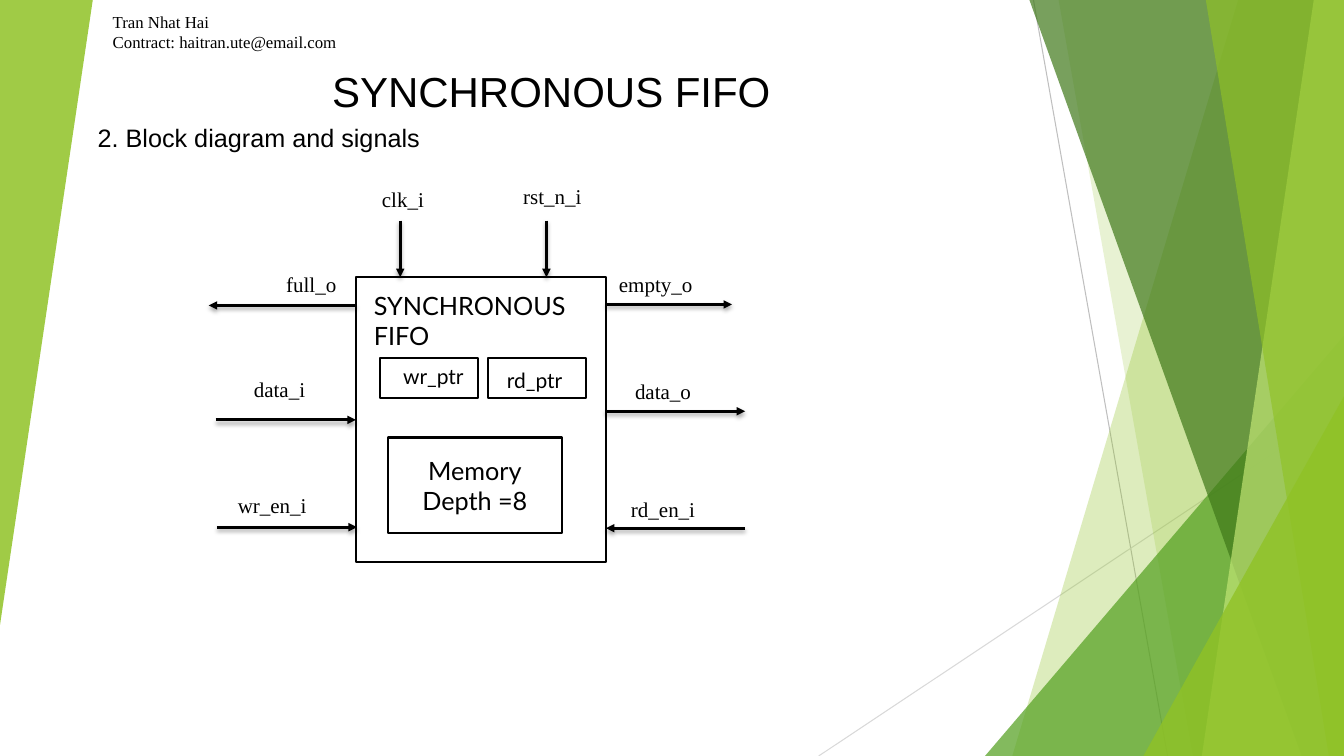
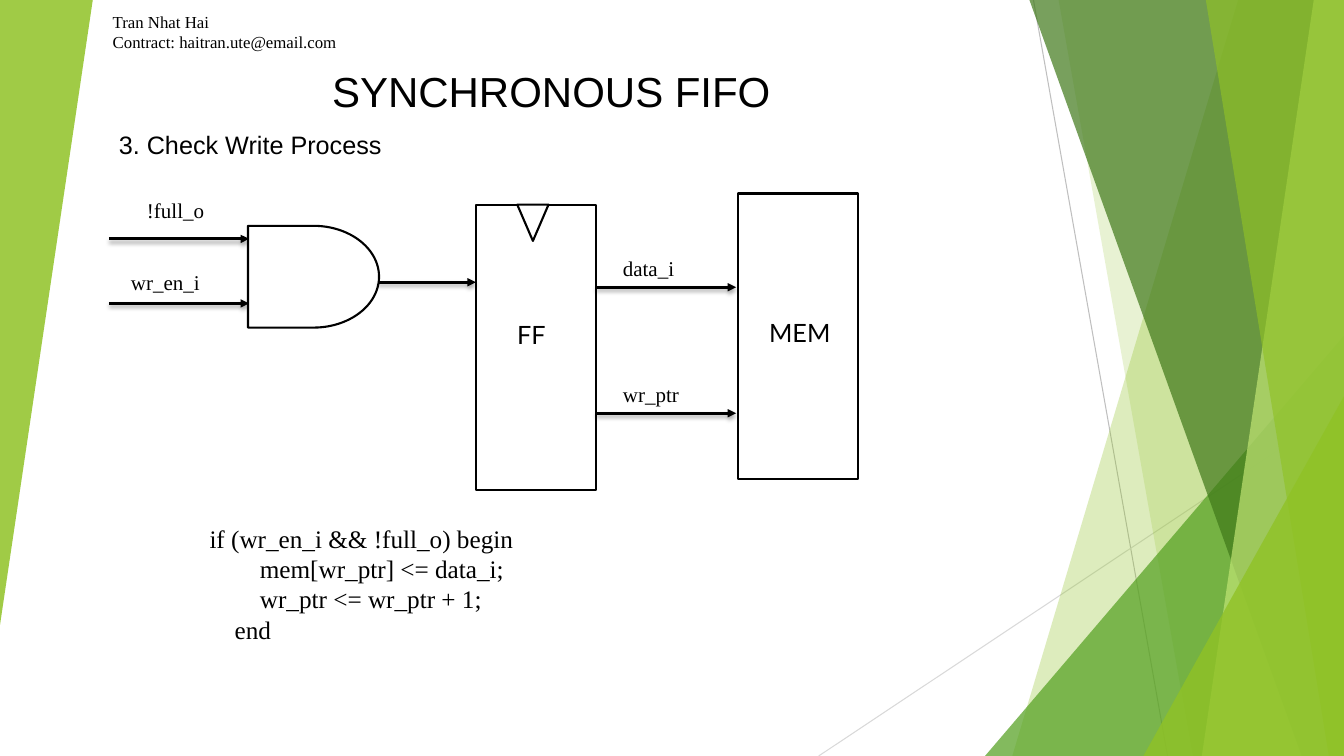
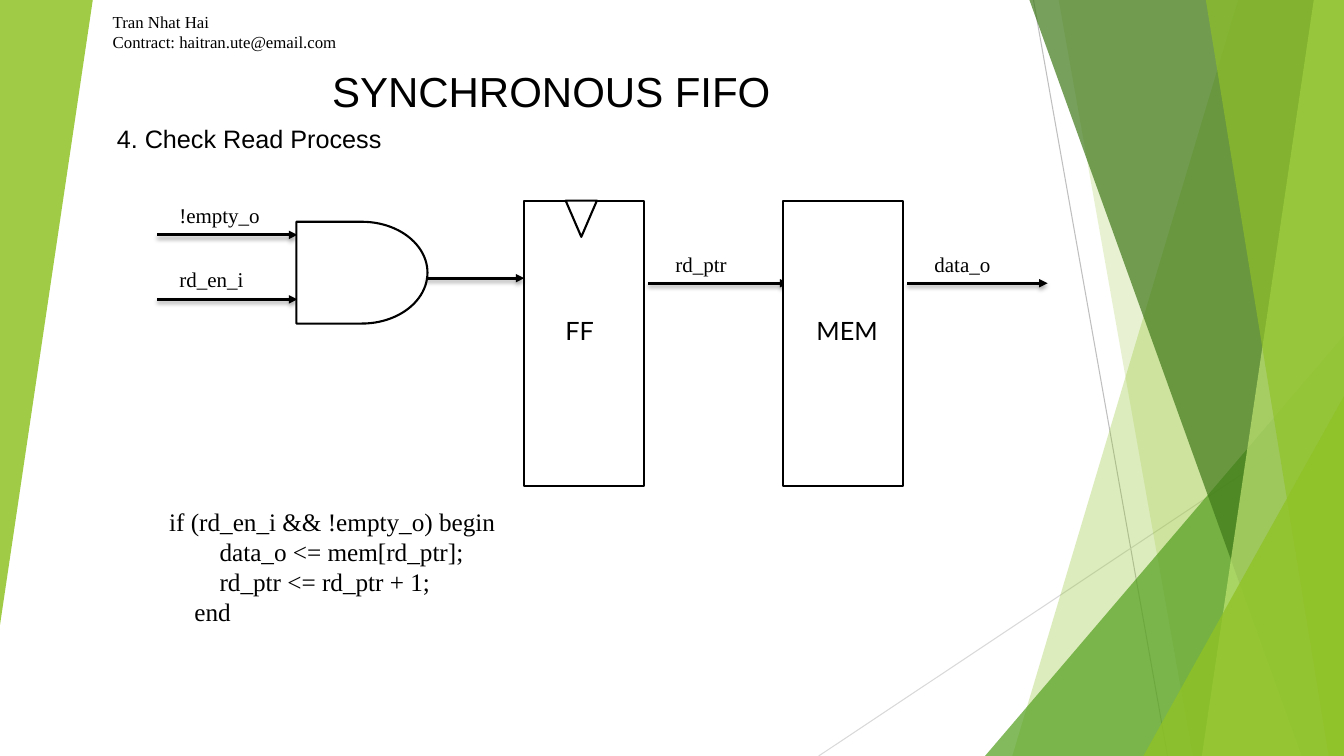
from dataclasses import dataclass

from lxml import etree
from pptx import Presentation
from pptx import util as u
from pptx.dml.color import RGBColor
from pptx.enum import shapes, text
from pptx.oxml.ns import qn


@dataclass(frozen=True)
class Theme:
    """Colours, fonts, type sizes and line weights shared by the slides."""

    ink: str = "000000"
    paper: str = "FFFFFF"
    lime: str = "90C226"
    green: str = "54A021"
    forest: str = "3F7819"
    pale: str = "C0E474"
    ray_dark: str = "BFBFBF"
    ray_light: str = "D9D9D9"
    heading_font: str = "Arial"
    signal_font: str = "Times New Roman"
    block_font: str = "Lato"
    title_size: float = 30
    body_size: float = 18
    label_size: float = 15
    credit_size: float = 12
    outline: float = 1.5
    wire: float = 2
    ray: float = 0.75


THEME = Theme()
WIDTH, HEIGHT = 13.33, 7.5
TITLE = "SYNCHRONOUS FIFO"
AUTHOR = "Tran Nhat Hai\nContract: haitran.ute@email.com"
LABEL_HEIGHT = 0.35
LINE_HEIGHT = 0.4
WIRE_LENGTH = 1.39
BLOCK_WIDTH, BLOCK_HEIGHT = 1.19, 2.83

RAYS = [
    (10.25, 0, 11.58, HEIGHT, THEME.ray_dark),
    (WIDTH, 4.03, 8.12, HEIGHT, THEME.ray_light),
]
BACK_FACETS = [(12.28, 10.04, THEME.lime, 30), (10.5, 11.83, THEME.lime, 20)]
FRONT_FACETS = [
    (10.21, 12.91, THEME.forest, 70),
    (13.03, 11.92, THEME.pale, 70),
    (11.96, 13.18, THEME.lime, 65),
]

FIFO_SIGNALS = [
    ("full_o", (-0.79, -0.11, 0.8), (0, 0.28), (-1.46, 0.28)),
    ("rd_en_i", (2.63, 2.13, 0.95), (3.86, 2.49), (2.48, 2.49)),
    ("wr_en_i", (-1.27, 2.09, 0.95), (-1.38, 2.48), (0.01, 2.48)),
    ("data_o", (2.67, 0.96, 0.8), (2.47, 1.33), (3.86, 1.33)),
    ("clk_i", (0.16, -0.95, 0.8), (0.44, -0.56), (0.44, 0)),
    ("rst_n_i", (1.56, -0.98, 0.97), (1.89, -0.56), (1.89, 0)),
    ("empty_o", (2.51, -0.11, 1.09), (2.48, 0.27), (3.73, 0.27)),
]


def inches(*lengths):
    """Convert numbers to inch lengths."""
    return [u.Inches(length) for length in lengths]


def write(paragraph, words, font, size, align=None):
    """Fill a paragraph with words in one font."""
    paragraph.text = words
    paragraph.alignment = align
    paragraph.font.name = font
    paragraph.font.size = u.Pt(size)
    paragraph.font.color.rgb = RGBColor.from_string(THEME.ink)


def add_text(slide, box, lines, font, size, align=None, indents=()):
    """Add a text box with one paragraph per line."""
    frame = slide.shapes.add_textbox(*inches(*box)).text_frame
    frame.word_wrap = True
    frame.auto_size = text.MSO_AUTO_SIZE.SHAPE_TO_FIT_TEXT
    for index, words in enumerate(lines):
        paragraph = frame.add_paragraph() if index else frame.paragraphs[0]
        write(paragraph, words, font, size, align)
        if indents:
            margin = u.Inches(indents[index])
            paragraph._p.get_or_add_pPr().set("marL", str(margin))


def add_label(slide, left, top, width, words):
    """Add a signal name."""
    add_text(slide, (left, top, width, LABEL_HEIGHT), [words],
             THEME.signal_font, THEME.label_size)


def add_block(slide, box, kind=shapes.MSO_SHAPE.RECTANGLE):
    """Add a white outlined diagram block."""
    block = slide.shapes.add_shape(kind, *inches(*box))
    block.shadow.inherit = False
    block.fill.solid()
    block.fill.fore_color.rgb = RGBColor.from_string(THEME.paper)
    block.line.color.rgb = RGBColor.from_string(THEME.ink)
    block.line.width = u.Pt(THEME.outline)
    return block


def add_line(slide, start, end, color, weight):
    """Add a straight line and return it with its empty effect list."""
    line = slide.shapes.add_connector(
        shapes.MSO_CONNECTOR.STRAIGHT, *inches(*start, *end))
    line.line.color.rgb = RGBColor.from_string(color)
    line.line.width = u.Pt(weight)
    effects = etree.SubElement(line._element.spPr, qn("a:effectLst"))
    return line, effects


def add_arrow(slide, start, end):
    """Add a signal arrow with a soft shadow below it."""
    arrow, effects = add_line(slide, start, end, THEME.ink, THEME.wire)
    outline = arrow._element.spPr.find(qn("a:ln"))
    etree.SubElement(outline, qn("a:tailEnd"), type="triangle")
    shadow = etree.SubElement(
        effects, qn("a:outerShdw"), blurRad=str(u.Pt(3)), dist=str(u.Pt(2)),
        dir="5400000", rotWithShape="0")
    tint = etree.SubElement(shadow, qn("a:srgbClr"), val=THEME.ink)
    etree.SubElement(tint, qn("a:alpha"), val="35000")
    return arrow


def tint_facet(facet, color, opacity):
    """Give a facet a translucent fill and no outline."""
    facet.shadow.inherit = False
    facet.fill.solid()
    facet.fill.fore_color.rgb = RGBColor.from_string(color)
    facet.line.fill.background()
    tint = facet._element.spPr.find(qn("a:solidFill")).find(qn("a:srgbClr"))
    etree.SubElement(tint, qn("a:alpha"), val=str(opacity * 1000))


def add_facets(slide, facets):
    """Add full-height facets that reach the right edge."""
    for top_left, bottom_left, color, opacity in facets:
        builder = slide.shapes.build_freeform(*inches(top_left, 0))
        corners = [(WIDTH, 0), (WIDTH, HEIGHT), (bottom_left, HEIGHT)]
        builder.add_line_segments([inches(*corner) for corner in corners])
        tint_facet(builder.convert_to_shape(), color, opacity)


def add_wedge(slide, box, color, opacity, rotation=0):
    """Add a right-angled facet."""
    wedge = slide.shapes.add_shape(
        shapes.MSO_SHAPE.ISOSCELES_TRIANGLE, *inches(*box))
    wedge.adjustments[0] = 1
    wedge.rotation = rotation
    tint_facet(wedge, color, opacity)


def add_backdrop(slide):
    """Add the rays and green facets along both edges."""
    for x1, y1, x2, y2, color in RAYS:
        add_line(slide, (x1, y1), (x2, y2), color, THEME.ray)
    add_facets(slide, BACK_FACETS)
    add_wedge(slide, (9.77, 3.33, 3.56, 4.17), THEME.green, 72)
    add_facets(slide, FRONT_FACETS)
    add_wedge(slide, (11.34, 3.93, 1.99, 3.57), THEME.lime, 80)
    add_wedge(slide, (0, 0, 0.92, 6.2), THEME.lime, 85, rotation=180)


def add_section_slide(deck, section, left, top):
    """Add a slide with backdrop, author, title and section heading."""
    slide = deck.slides.add_slide(deck.slide_layouts[6])
    add_backdrop(slide)
    add_text(slide, (2.19, 0.6, 6.56, 0.61), [TITLE], THEME.heading_font,
             THEME.title_size, text.PP_ALIGN.CENTER)
    add_text(slide, (left, top, 3.52, LINE_HEIGHT), [section],
             THEME.heading_font, THEME.body_size)
    add_text(slide, (1.02, 0.07, 2.73, 0.5), [AUTHOR], THEME.signal_font,
             THEME.credit_size)
    return slide


def draw_fifo(slide, left, top, width, height):
    """Draw the FIFO with its pointers, memory and signals."""
    fifo = add_block(slide, (left, top, width, height))
    for name, (dx, dy, label_width), start, end in FIFO_SIGNALS:
        add_arrow(slide, (left + start[0], top + start[1]),
                  (left + end[0], top + end[1]))
        add_label(slide, left + dx, top + dy, label_width, name)

    middle = top + height / 2
    data_in = add_arrow(slide, (left - WIRE_LENGTH, middle), (left, middle))
    data_in.end_connect(fifo, 1)
    add_label(slide, left - 1.11, top + 0.94, 0.8, "data_i")

    add_text(slide, (left + 0.08, top + 0.08, 2.57, LINE_HEIGHT), [TITLE],
             THEME.block_font, THEME.body_size)
    for pointer, dx, text_dx, text_dy in [("rd_ptr", 1.31, 0.09, 0.05),
                                          ("wr_ptr", 0.24, 0.13, 0.01)]:
        add_block(slide, (left + dx, top + 0.8, 0.97, 0.4))
        add_text(slide, (left + dx + text_dx, top + 0.8 + text_dy, 0.97,
                         LABEL_HEIGHT),
                 [pointer], THEME.block_font, THEME.label_size)

    memory = add_block(slide, (left + 0.32, top + 1.59, 1.72, 0.95))
    memory.text_frame.word_wrap = True
    memory.text_frame.vertical_anchor = text.MSO_ANCHOR.MIDDLE
    write(memory.text_frame.paragraphs[0], "Memory\nDepth =8",
          THEME.block_font, THEME.body_size, text.PP_ALIGN.CENTER)


def draw_process(slide, left, top, inputs, outputs, memory, memory_name):
    """Draw gate, flip-flop and memory from the flip-flop's top left corner."""
    add_block(slide, (left, top, BLOCK_WIDTH, BLOCK_HEIGHT))
    add_block(slide, (left + 0.41, top, 0.31, 0.36),
              shapes.MSO_SHAPE.ISOSCELES_TRIANGLE).rotation = 180
    add_text(slide, (left + 0.31, top + 1.09, 0.96, LINE_HEIGHT), ["FF"],
             THEME.block_font, THEME.body_size)

    for index, (name, dx, dy, label_width) in enumerate(inputs):
        wire_left, wire_top = left - 3.64, top + 0.34 + 0.64 * index
        add_arrow(slide, (wire_left, wire_top),
                  (wire_left + WIRE_LENGTH, wire_top))
        add_label(slide, left + dx, top + dy, label_width, name)
    add_block(slide, (left - 2.26, top + 0.21, 1.3, 1.01),
              shapes.MSO_SHAPE.FLOWCHART_DELAY)
    add_arrow(slide, (left - 0.97, top + 0.77), (left, top + 0.77))

    for name, dx, dy in outputs:
        wire_left, wire_top = left + dx, top + dy
        add_arrow(slide, (wire_left, wire_top),
                  (wire_left + WIRE_LENGTH, wire_top))
        add_label(slide, wire_left + 0.17, wire_top - 0.36, 0.8, name)

    add_block(slide, (left + memory[0], top + memory[1],
                      BLOCK_WIDTH, BLOCK_HEIGHT))
    add_text(slide, (left + memory_name[0], top + memory_name[1], 0.96,
                     LINE_HEIGHT),
             ["MEM"], THEME.block_font, THEME.body_size)


def add_code(slide, box, lines):
    """Add a four-line conditional with an indented body."""
    add_text(slide, box, lines, THEME.signal_font, THEME.body_size,
             indents=(0, 0.5, 0.5, 0.25))


def main():
    """Build and save the deck."""
    deck = Presentation()
    deck.slide_width, deck.slide_height = inches(WIDTH, HEIGHT)

    diagram = add_section_slide(deck, "2. Block diagram and signals", 0.87, 1.16)
    draw_fifo(diagram, 3.53, 2.75, 2.48, 2.83)

    writing = add_section_slide(deck, "3. Check Write Process", 1.08, 1.23)
    draw_process(
        writing, 4.72, 2.03,
        inputs=[("!full_o", -3.36, -0.12, 0.8), ("wr_en_i", -3.52, 0.59, 0.95)],
        outputs=[("data_i", 1.19, 0.82), ("wr_ptr", 1.19, 2.07)],
        memory=(2.6, -0.11), memory_name=(2.81, 1.07))
    add_code(writing, (1.98, 5.14, 6.67, 1.31),
             ["if (wr_en_i && !full_o) begin", "mem[wr_ptr] <= data_i;",
              "wr_ptr <= wr_ptr + 1;", "end"])

    reading = add_section_slide(deck, "4. Check Read Process", 1.06, 1.17)
    draw_process(
        reading, 5.2, 1.99,
        inputs=[("!empty_o", -3.52, -0.03, 1.09), ("rd_en_i", -3.52, 0.6, 0.95)],
        outputs=[("rd_ptr", 1.23, 0.82), ("data_o", 3.8, 0.82)],
        memory=(2.57, 0), memory_name=(2.8, 1.09))
    add_code(reading, (1.58, 4.97, 3.84, 1.31),
             ["if (rd_en_i && !empty_o) begin", "data_o <= mem[rd_ptr];",
              "rd_ptr <= rd_ptr + 1;", "end"])

    deck.save("out.pptx")


if __name__ == "__main__":
    main()
